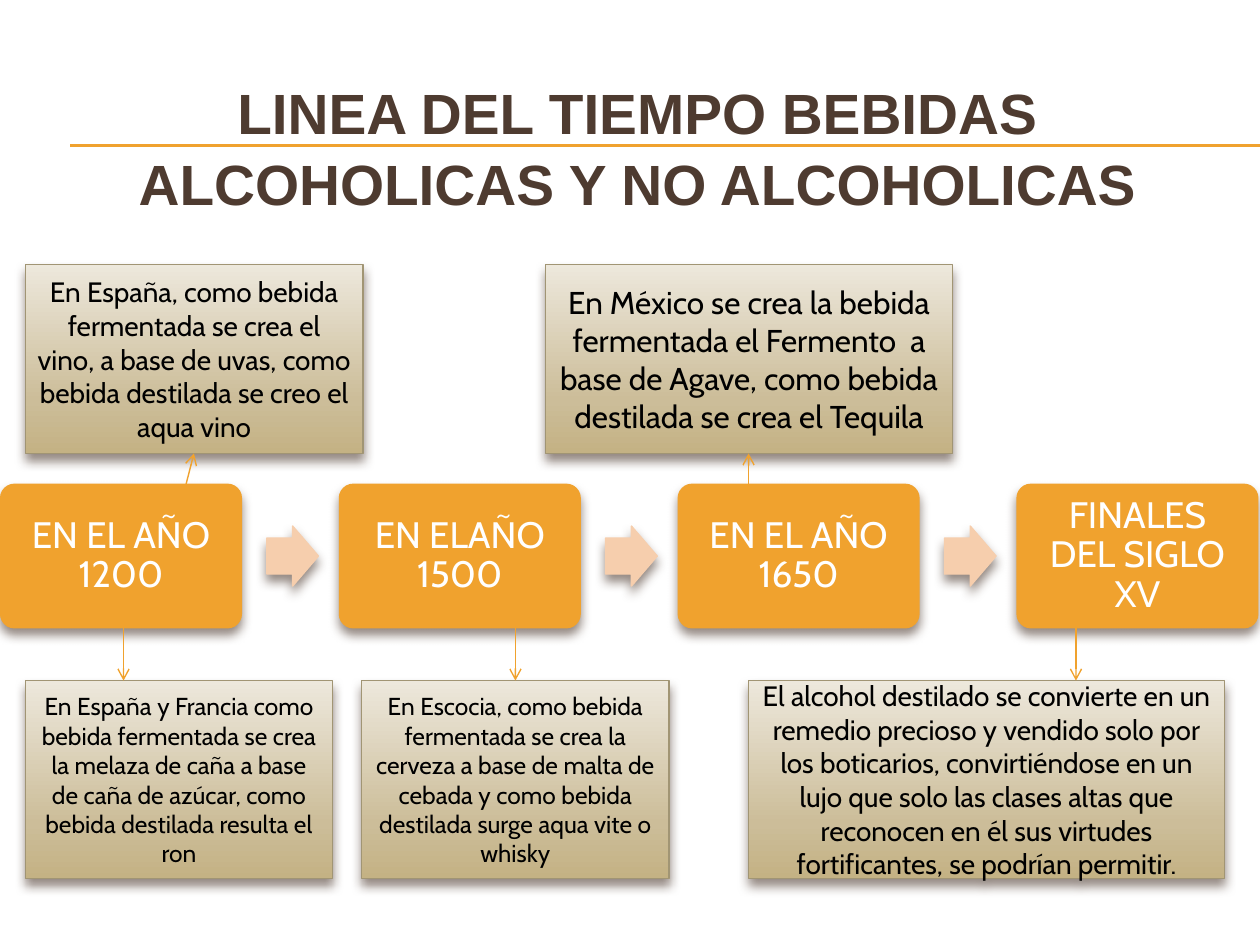
from pptx import Presentation, util as u
from pptx.dml import color
from pptx.enum import shapes, text
from pptx.oxml import parse_xml
from pptx.oxml.ns import nsdecls

ORANGE, PEACH, BROWN = "F0A22E", "F6CEAD", "4E3B30"
CARD_LINE = "A19574"
CARD_STOPS = ((0, "EDE8DC"), (72, "CCBD99"), (100, "C4B284"))

STEPS = ("EN EL AÑO 1200", "EN ELAÑO 1500", "EN EL AÑO 1650", "FINALES DEL SIGLO XV")
STEP_TOP, STEP_WIDTH, STEP_HEIGHT, STEP_PITCH = 9.75, 4.88, 2.92, 6.83
ARROW_OFFSET, ARROW_WIDTH, ARROW_HEIGHT = 5.38, 1.04, 1.21

UPPER, LOWER = (5.33, 3.81), (13.72, 3.99)  # top and height of each row of cards
CARDS = (
    (0.51, UPPER, 6.81, 16, "En España, como bebida fermentada se crea el vino, a base de uvas, "
     "como bebida destilada se creo el aqua vino"),
    (0.51, LOWER, 6.2, 14, "En España y Francia como bebida fermentada se crea la melaza de caña "
     "a base de caña de azúcar, como bebida destilada resulta el ron"),
    (7.29, LOWER, 6.2, 14, "En Escocia, como bebida fermentada se crea la cerveza a base de malta "
     "de cebada y como bebida destilada surge aqua vite o whisky"),
    (11, UPPER, 8.2, 18, "En México se crea la bebida fermentada el Fermento  a base de Agave, "
     "como bebida destilada se crea el Tequila"),
    (15.09, LOWER, 9.6, 16, "El alcohol destilado se convierte en un remedio precioso y vendido "
     "solo por los boticarios, convirtiéndose en un lujo que solo las clases altas que reconocen "
     "en él sus virtudes fortificantes, se podrían permitir."),
)
# Start x and end x of the pointers
UP_POINTERS = ((3.61, 3.91), (15.09, 15.09))
DOWN_POINTERS = (2.49, 10.39, 21.69)


def rgb(value):
    return color.RGBColor.from_string(value)


def write(shape, content, size, ink, font="Cabin", bold=False, spacing=None, inset=None):
    """Fill a shape with one centred paragraph."""
    frame = shape.text_frame
    frame.word_wrap = True
    frame.auto_size = text.MSO_AUTO_SIZE.NONE
    frame.vertical_anchor = text.MSO_ANCHOR.MIDDLE
    if inset is not None:
        frame.margin_left = frame.margin_right = u.Cm(inset)
        frame.margin_top = frame.margin_bottom = u.Cm(inset)
    para = frame.paragraphs[0]
    para.alignment = text.PP_ALIGN.CENTER
    para.line_spacing = spacing
    span = para.add_run()
    span.text = content
    span.font.name, span.font.size, span.font.bold = font, u.Pt(size), bold
    span.font.color.rgb = rgb(ink)


class TimelineSlide:
    def __init__(self, page):
        self.page = page
        self.line_width = u.Pt(0.79)

    def title(self, content):
        box = self.page.shapes.title
        box.left, box.top, box.width, box.height = map(u.Cm, (0.3, 1.32, 25.1, 3.25))
        write(box, content, 32.4, BROWN, font="Arial", bold=True, spacing=1.04)

    def line(self, start, end, arrow=False):
        line = self.page.shapes.add_connector(
            shapes.MSO_CONNECTOR.STRAIGHT, *map(u.Cm, (*start, *end)))
        line.line.color.rgb = rgb(ORANGE)
        line.line.width = self.line_width
        if arrow:
            line.line._get_or_add_ln().append(
                parse_xml(f'<a:tailEnd {nsdecls("a")} type="arrow"/>'))
        line._element.spPr.append(parse_xml(f'<a:effectLst {nsdecls("a")}/>'))

    def block(self, kind, left, top, width, height, fill=None, outline=None):
        """Add a preset shape with the soft shadow that all blocks share."""
        shape = self.page.shapes.add_shape(kind, *map(u.Cm, (left, top, width, height)))
        if fill:
            shape.fill.solid()
            shape.fill.fore_color.rgb = rgb(fill)
        if outline:
            shape.line.color.rgb = rgb(outline)
            shape.line.width = self.line_width
        else:
            shape.line.fill.background()
        shape._element.spPr.append(parse_xml(
            f'<a:effectLst {nsdecls("a")}><a:outerShdw blurRad="{u.Pt(6)}" dist="{u.Pt(4)}" '
            f'dir="5400000" rotWithShape="0"><a:srgbClr val="{BROWN}"><a:alpha val="60000"/>'
            '</a:srgbClr></a:outerShdw></a:effectLst>'))
        return shape

    def step(self, left, content):
        box = self.block(shapes.MSO_SHAPE.ROUNDED_RECTANGLE, left, STEP_TOP,
                         STEP_WIDTH, STEP_HEIGHT, fill=ORANGE)
        box.adjustments[0] = 0.1
        write(box, content, 21, "FFFFFF", spacing=0.9, inset=0.32)

    def step_arrow(self, left):
        top = STEP_TOP + (STEP_HEIGHT - ARROW_HEIGHT) / 2
        arrow = self.block(shapes.MSO_SHAPE.RIGHT_ARROW, left, top,
                           ARROW_WIDTH, ARROW_HEIGHT, fill=PEACH, outline=PEACH)
        arrow.adjustments[0], arrow.adjustments[1] = 0.6, 0.5

    def card(self, left, row, width, size, content):
        top, height = row
        box = self.block(shapes.MSO_SHAPE.RECTANGLE, left, top, width, height,
                         outline=CARD_LINE)
        stops = "".join(f'<a:gs pos="{place * 1000}"><a:srgbClr val="{tone}"/></a:gs>'
                        for place, tone in CARD_STOPS)
        box._element.spPr.prstGeom.addnext(parse_xml(
            f'<a:gradFill {nsdecls("a")} rotWithShape="1"><a:gsLst>{stops}</a:gsLst>'
            '<a:lin ang="5400000" scaled="0"/></a:gradFill>'))
        write(box, content, size, "000000")


def main():
    deck = Presentation()
    deck.slide_width, deck.slide_height = u.Cm(25.4), u.Cm(19.05)
    timeline = TimelineSlide(deck.slides.add_slide(deck.slide_layouts[5]))

    for y in (2.92, 2.95):
        timeline.line((1.42, y), (25.4, y))
    timeline.title("LINEA DEL TIEMPO BEBIDAS ALCOHOLICAS Y NO ALCOHOLICAS")

    for index, label in enumerate(STEPS):
        left = index * STEP_PITCH
        timeline.step(left, label)
        if index < len(STEPS) - 1:
            timeline.step_arrow(left + ARROW_OFFSET)

    for card in CARDS:
        timeline.card(*card)
    for start, end in UP_POINTERS:
        timeline.line((start, 10.31), (end, sum(UPPER)), arrow=True)
    for x in DOWN_POINTERS:
        timeline.line((x, 12.52), (x, LOWER[0]), arrow=True)

    deck.save("out.pptx")


if __name__ == "__main__":
    main()
